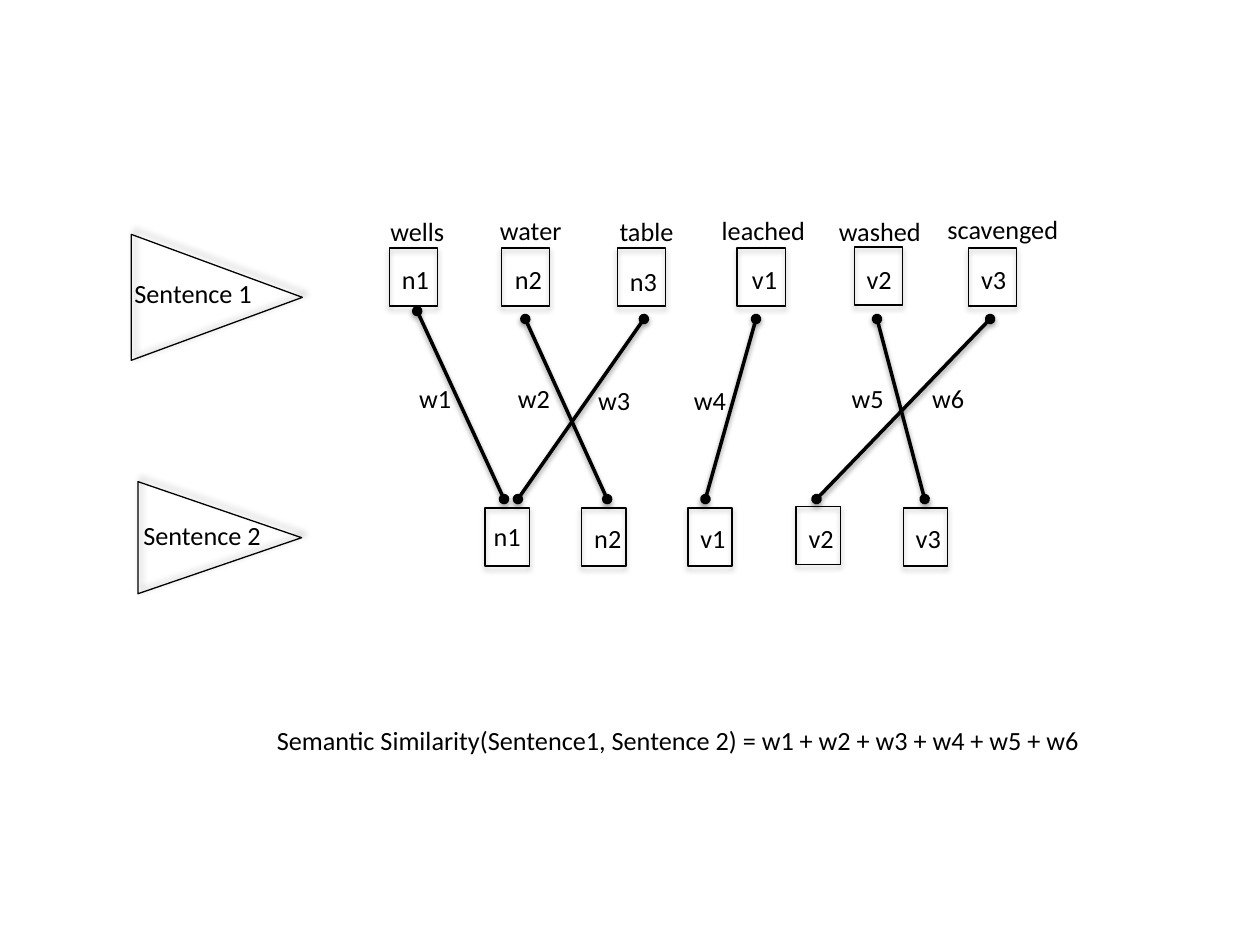
"""Draw the word matching between two sentences and its similarity formula."""
from typing import NamedTuple

from lxml.etree import SubElement
from pptx import Presentation
from pptx.dml.color import RGBColor
from pptx.enum.shapes import MSO_CONNECTOR, MSO_SHAPE
from pptx.enum.text import MSO_AUTO_SIZE
from pptx.oxml.ns import qn
from pptx.util import Cm, Pt

INK = "000000"
LABEL_HEIGHT = 0.89
NODE_HEIGHT = 1.17
NODE_LABEL_WIDTH = 1.07
LINK_BOTTOM = 10.06


class Label(NamedTuple):
    text: str
    left: float
    top: float
    width: float


class Node(NamedTuple):
    name: str
    left: float
    top: float
    label_left: float
    label_top: float


class Sentence(NamedTuple):
    left: float
    top: float
    width: float
    height: float
    label: Label


class Link(NamedTuple):
    top_x: float
    top_y: float
    bottom_x: float
    weight: Label


class Shadow(NamedTuple):
    opacity: int
    blur: float
    distance: float
    angle: int


SENTENCE_SHADOW = Shadow(40, 4, 3, 315)
NODE_SHADOW = Shadow(35, 3.1, 1.8, 90)
LINK_SHADOW = Shadow(38, 3.1, 1.6, 90)

SENTENCES = [
    Sentence(3.1, 4.27, 2.54, 3.45, Label("Sentence 1", 2.46, 5.46, 2.92)),
    Sentence(3.3, 9.19, 2.26, 3.3, Label("Sentence 2", 2.64, 10.34, 2.92)),
]
FIRST_NODES = [
    Node("n1", 7.85, 5, 7.85, 5.18),
    Node("n2", 10.11, 5, 10.13, 5.18),
    Node("n3", 12.45, 5, 12.45, 5.23),
    Node("v1", 14.86, 5, 14.91, 5.18),
    Node("v2", 17.22, 4.98, 17.22, 5.18),
    Node("v3", 19.53, 5, 19.53, 5.18),
]
SECOND_NODES = [
    Node("n1", 9.78, 10.24, 9.7, 10.36),
    Node("n2", 11.73, 10.24, 11.73, 10.41),
    Node("v1", 13.87, 10.24, 13.87, 10.41),
    Node("v2", 16.05, 10.21, 16.05, 10.41),
    Node("v3", 18.21, 10.24, 18.21, 10.41),
]
WORDS = [
    Label("wells", 7.62, 4.22, 1.63),
    Label("water", 9.83, 4.19, 1.78),
    Label("table", 12.24, 4.22, 1.63),
    Label("leached", 14.3, 4.19, 2.21),
    Label("washed", 16.66, 4.22, 2.18),
    Label("scavenged", 18.85, 4.17, 2.79),
]
LINKS = [
    Link(8.41, 6.27, 10.16, Label("w1", 8.2, 7.59, 1.17)),
    Link(10.59, 6.43, 12.24, Label("w2", 10.19, 7.59, 1.17)),
    Link(12.98, 6.43, 10.44, Label("w3", 11.81, 7.62, 1.17)),
    Link(15.24, 6.43, 14.22, Label("w4", 13.74, 7.62, 1.19)),
    Link(17.68, 6.43, 18.64, Label("w5", 16.92, 7.59, 1.19)),
    Link(19.96, 6.43, 16.46, Label("w6", 18.54, 7.59, 1.17)),
]
FORMULA = Label(
    "Semantic Similarity(Sentence1, Sentence 2) = w1 + w2 + w3 + w4 + w5 + w6",
    5.33, 14.48, 16.89,
)


def color(value: str) -> RGBColor:
    """Turn a hex string into a colour."""
    return RGBColor.from_string(value)


def add_shadow(owner, shadow: Shadow) -> None:
    """Give a shape or connector an outer shadow."""
    effects = SubElement(owner._element.spPr, qn("a:effectLst"))
    outer = SubElement(
        effects, qn("a:outerShdw"), blurRad=str(Pt(shadow.blur)),
        dist=str(Pt(shadow.distance)), dir=str(shadow.angle * 60000), rotWithShape="0",
    )
    tint = SubElement(outer, qn("a:srgbClr"), val=INK)
    SubElement(tint, qn("a:alpha"), val=str(shadow.opacity * 1000))


def add_outline(shapes, kind: MSO_SHAPE, left: float, top: float,
                width: float, height: float, shadow: Shadow):
    """Add an unfilled, outlined shape with a shadow."""
    outline = shapes.add_shape(kind, Cm(left), Cm(top), Cm(width), Cm(height))
    outline.fill.background()
    outline.line.color.rgb = color(INK)
    outline.line.width = Pt(0.75)
    add_shadow(outline, shadow)
    return outline


def add_label(shapes, label: Label) -> None:
    """Add a one-line text label."""
    box = shapes.add_textbox(Cm(label.left), Cm(label.top), Cm(label.width), Cm(LABEL_HEIGHT))
    frame = box.text_frame
    frame.word_wrap = False
    frame.auto_size = MSO_AUTO_SIZE.SHAPE_TO_FIT_TEXT
    frame.text = label.text
    font = frame.paragraphs[0].font
    font.name = "Calibri"
    font.size = Pt(15)
    font.color.rgb = color(INK)


def add_node_row(shapes, nodes: list[Node], width: float) -> None:
    """Add one sentence's nodes as a group of boxes."""
    row = shapes.add_group_shape()
    for node in nodes:
        add_outline(row.shapes, MSO_SHAPE.RECTANGLE, node.left, node.top,
                    width, NODE_HEIGHT, NODE_SHADOW)


def add_link(shapes, link: Link) -> None:
    """Join two nodes with a line that has round ends."""
    line = shapes.add_connector(MSO_CONNECTOR.STRAIGHT, Cm(link.top_x), Cm(link.top_y),
                                Cm(link.bottom_x), Cm(LINK_BOTTOM))
    line.line.color.rgb = color(INK)
    line.line.width = Pt(2)
    stroke = line.line._get_or_add_ln()
    for end in ("a:headEnd", "a:tailEnd"):
        SubElement(stroke, qn(end), type="oval")
    add_shadow(line, LINK_SHADOW)


def main() -> None:
    """Build and save the slide."""
    deck = Presentation()
    deck.slide_width, deck.slide_height = Cm(25.4), Cm(19.05)
    shapes = deck.slides.add_slide(deck.slide_layouts[6]).shapes

    for sentence in SENTENCES:
        triangle = add_outline(shapes, MSO_SHAPE.ISOSCELES_TRIANGLE, sentence.left, sentence.top,
                               sentence.width, sentence.height, SENTENCE_SHADOW)
        triangle.rotation = 90
    add_node_row(shapes, FIRST_NODES, 0.97)
    add_node_row(shapes, SECOND_NODES, 0.89)

    node_labels = [Label(node.name, node.label_left, node.label_top, NODE_LABEL_WIDTH)
                   for node in FIRST_NODES + SECOND_NODES]
    for label in WORDS + node_labels + [sentence.label for sentence in SENTENCES]:
        add_label(shapes, label)
    for link in LINKS:
        add_link(shapes, link)
    for label in [link.weight for link in LINKS] + [FORMULA]:
        add_label(shapes, label)

    deck.save("out.pptx")


main()
